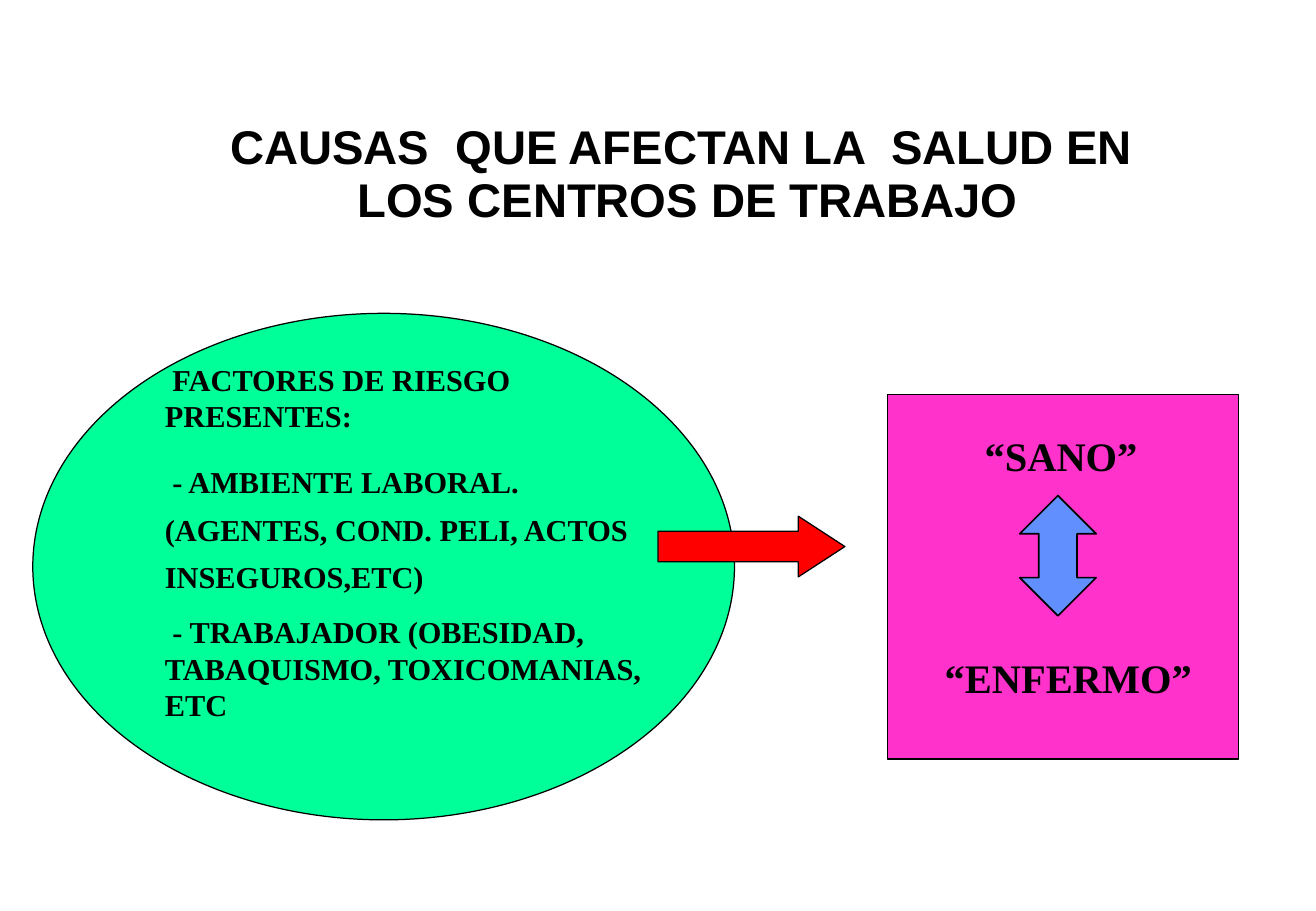
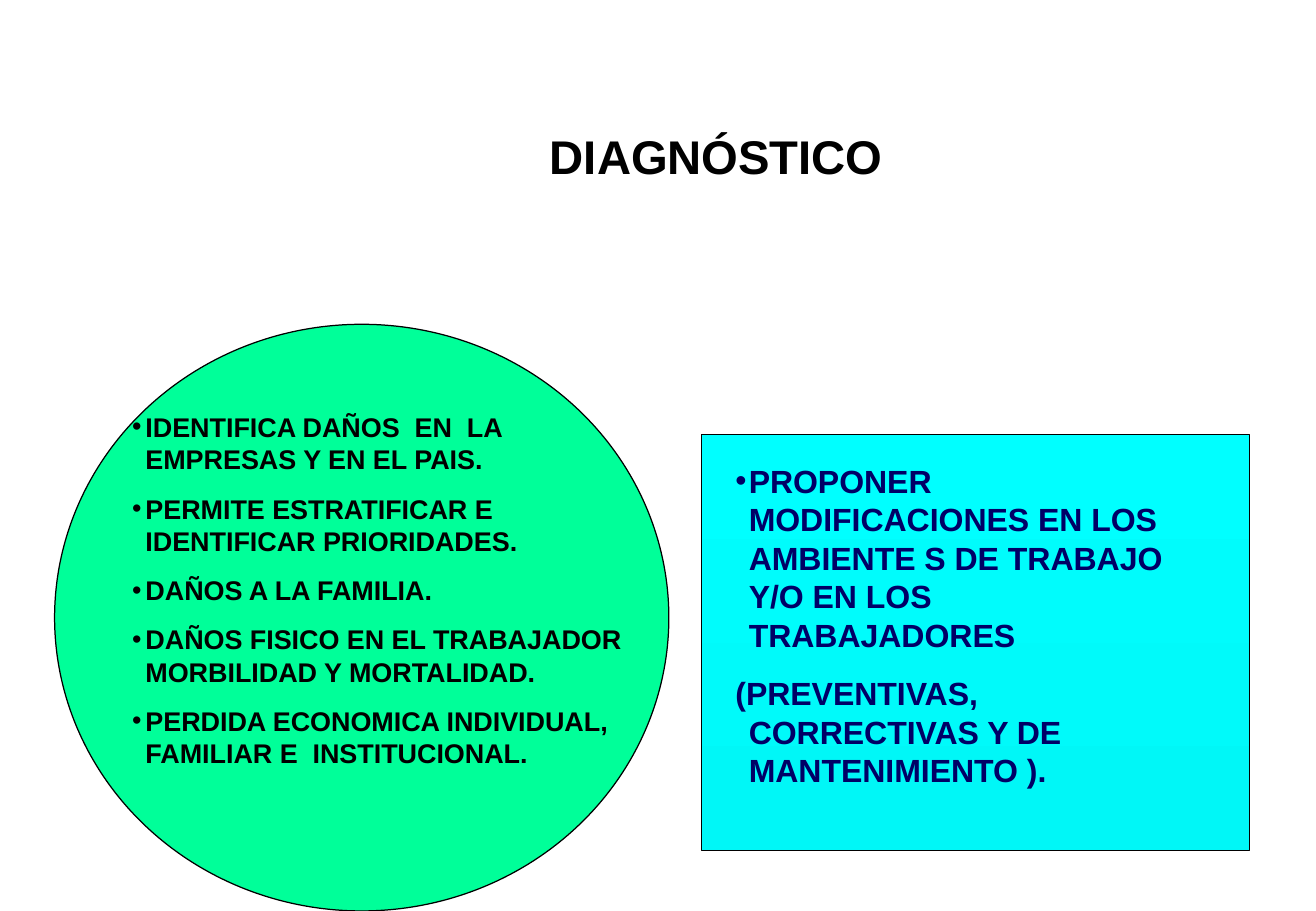
from lxml.etree import SubElement
from pptx import Presentation
from pptx.dml.color import RGBColor
from pptx.enum.shapes import MSO_SHAPE as SHAPE
from pptx.enum.text import MSO_ANCHOR as ANCHOR, MSO_AUTO_SIZE as AUTO, PP_ALIGN as ALIGN
from pptx.oxml.ns import qn
from pptx.util import Inches, Pt

BLACK, NAVY, GREEN = "000000", "000066", "00FF99"
PINK, BLUE = "FF33CC", "618FFD"
RED_FADE, CYAN_FADE = ("FF0000", "FE0202"), ("00FFFF", "00F7F7")
SANS, SERIF = "Arial", "Times New Roman"
HANGING = 0.11


def rgb(value):
    """Turn a hex string into a colour."""
    return RGBColor.from_string(value)


def add_figure(slide, kind, box, fill, line_width=0.75, adjustments=()):
    """Draw an outlined preset shape with a plain or a fading fill."""
    figure = slide.shapes.add_shape(kind, *map(Inches, box))
    figure.shadow.inherit = False
    for index, value in enumerate(adjustments):
        figure.adjustments[index] = value
    if isinstance(fill, str):
        figure.fill.solid()
        figure.fill.fore_color.rgb = rgb(fill)
    else:
        figure.fill.gradient()
        figure.fill.gradient_angle = 270
        for stop, color, position in zip(figure.fill.gradient_stops, fill, (0, 1)):
            stop.color.rgb = rgb(color)
            stop.position = position
    figure.line.color.rgb = rgb(BLACK)
    figure.line.width = Pt(line_width)


def set_hanging(paragraph, color, bullet):
    """Give a paragraph a hanging indent and, if asked, a round bullet."""
    properties = paragraph._p.get_or_add_pPr()
    properties.set("marL", str(Inches(HANGING)))
    properties.set("indent", str(-Inches(HANGING)))
    if bullet:
        bullet_color = SubElement(properties, qn("a:buClr"))
        SubElement(bullet_color, qn("a:srgbClr"), val=color)
        SubElement(properties, qn("a:buFont"), typeface=SANS)
        SubElement(properties, qn("a:buChar"), char="•")


def add_text(slide, box, lines, size, font=SANS, color=BLACK, align=ALIGN.LEFT,
             wrap=True, before=0, spacing=None, bullets=()):
    """Place bold paragraphs; spacing maps a line index to its line spacing."""
    frame = slide.shapes.add_textbox(*map(Inches, box)).text_frame
    frame.word_wrap = wrap
    frame.auto_size = AUTO.SHAPE_TO_FIT_TEXT
    frame.vertical_anchor = ANCHOR.TOP
    frame.text = "\n".join(lines)
    for index, paragraph in enumerate(frame.paragraphs):
        if bullets:
            set_hanging(paragraph, color, bullets[index])
        paragraph.alignment = align
        if index:
            paragraph.space_before = Pt(before)
        if spacing and index in spacing:
            paragraph.line_spacing = spacing[index]
        for run in paragraph.runs:
            run.font.name = font
            run.font.size = Pt(size)
            run.font.bold = True
            run.font.color.rgb = rgb(color)


def add_title(slide, box, lines):
    """Write the slide title, its second line set tight under the first."""
    add_text(slide, box, lines, 28, align=ALIGN.CENTER, wrap=False,
             before=17.5, spacing={1: 0.3})


def add_risk_factors(slide, box):
    """Draw the oval that lists the risk factors."""
    left, top, width, height = box
    add_figure(slide, SHAPE.OVAL, box, GREEN)
    add_text(slide, (left + 0.99, top + 0.34, width - 1.63, height - 1.09), [
        " FACTORES DE RIESGO PRESENTES:",
        " - AMBIENTE LABORAL. (AGENTES, COND. PELI, ACTOS INSEGUROS,ETC)",
        " - TRABAJADOR (OBESIDAD, TABAQUISMO, TOXICOMANIAS, ETC",
    ], 18, SERIF, before=11.2, spacing={1: 1.3})


def add_health_states(slide, box):
    """Draw the panel where health and illness face each other."""
    left, top, width, height = box
    add_figure(slide, SHAPE.RECTANGLE, box, PINK)
    for state, shift, drop, label_width in (("“SANO”", 0.6, 0.25, 1.66),
                                            ("“ENFERMO”", 0.24, 2.08, 2.5)):
        add_text(slide, (left + shift, top + drop, label_width, 0.5), [state],
                 24, SERIF, align=ALIGN.CENTER, wrap=False)
    add_figure(slide, SHAPE.UP_DOWN_ARROW, (left + 1.09, top + 0.83, 0.63, 0.99),
               BLUE, 1, (0.313, 0.5))


def add_findings(slide, box):
    """Draw the oval that lists what the diagnosis shows."""
    left, top, width, height = box
    add_figure(slide, SHAPE.OVAL, box, GREEN)
    findings = [
        "IDENTIFICA DAÑOS  EN  LA EMPRESAS Y EN EL PAIS.",
        "PERMITE ESTRATIFICAR E IDENTIFICAR PRIORIDADES.",
        "DAÑOS A LA FAMILIA.",
        "DAÑOS FISICO EN EL TRABAJADOR MORBILIDAD Y MORTALIDAD.",
        "PERDIDA ECONOMICA INDIVIDUAL,  FAMILIAR E  INSTITUCIONAL.",
    ]
    add_text(slide, (left + 0.54, top + 0.66, width - 0.82, height - 1.77),
             findings, 16, before=10, bullets=[True] * len(findings))


def add_proposals(slide, box):
    """Draw the panel with the proposed changes."""
    left, top, width, height = box
    add_figure(slide, SHAPE.RECTANGLE, box, CYAN_FADE)
    add_text(slide, (left + 0.18, top + 0.17, width - 0.45, height - 0.14), [
        "PROPONER MODIFICACIONES EN LOS AMBIENTE S DE TRABAJO Y/O EN LOS TRABAJADORES",
        "(PREVENTIVAS, CORRECTIVAS Y DE MANTENIMIENTO ).",
    ], 19, color=NAVY, before=11.9, bullets=(True, False))


def build_causes(slide):
    """Build the slide on the causes that affect health at work."""
    add_title(slide, (1.77, 0.92, 7.68, 0.95),
              ["CAUSAS  QUE AFECTAN LA  SALUD EN", " LOS CENTROS DE TRABAJO"])
    add_risk_factors(slide, (0.27, 2.58, 5.78, 4.17))
    add_figure(slide, SHAPE.RIGHT_ARROW, (5.42, 4.25, 1.54, 0.5), RED_FADE,
               adjustments=(0.5, 0.768))
    add_health_states(slide, (7.31, 3.25, 2.89, 3))


def build_diagnosis(slide):
    """Build the slide on the diagnosis."""
    add_title(slide, (4.43, 1, 2.94, 0.57), ["DIAGNÓSTICO"])
    add_findings(slide, (0.45, 2.67, 5.06, 4.83))
    add_proposals(slide, (5.78, 3.58, 4.51, 3.42))


def main():
    """Build and save the presentation."""
    deck = Presentation()
    deck.slide_width, deck.slide_height = Inches(10.84), Inches(7.5)
    for build in (build_causes, build_diagnosis):
        build(deck.slides.add_slide(deck.slide_layouts[6]))
    deck.save("out.pptx")


if __name__ == "__main__":
    main()
